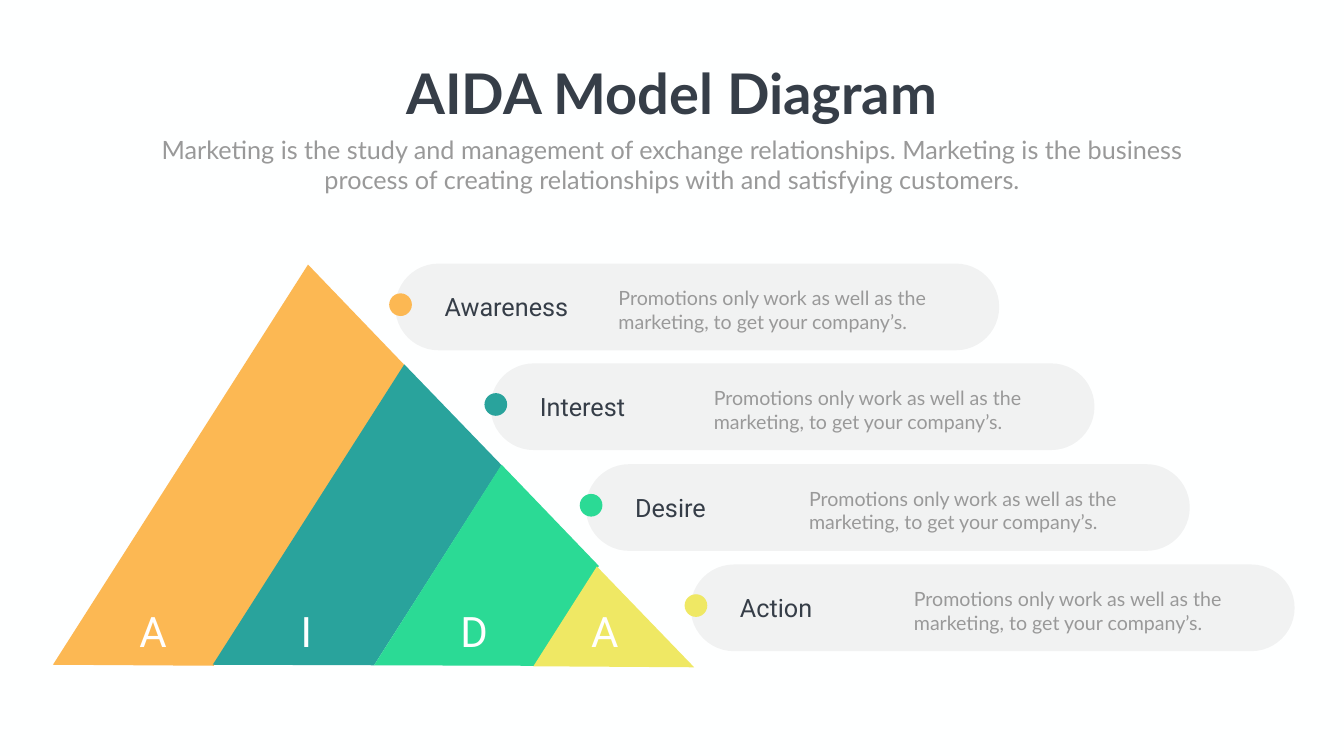
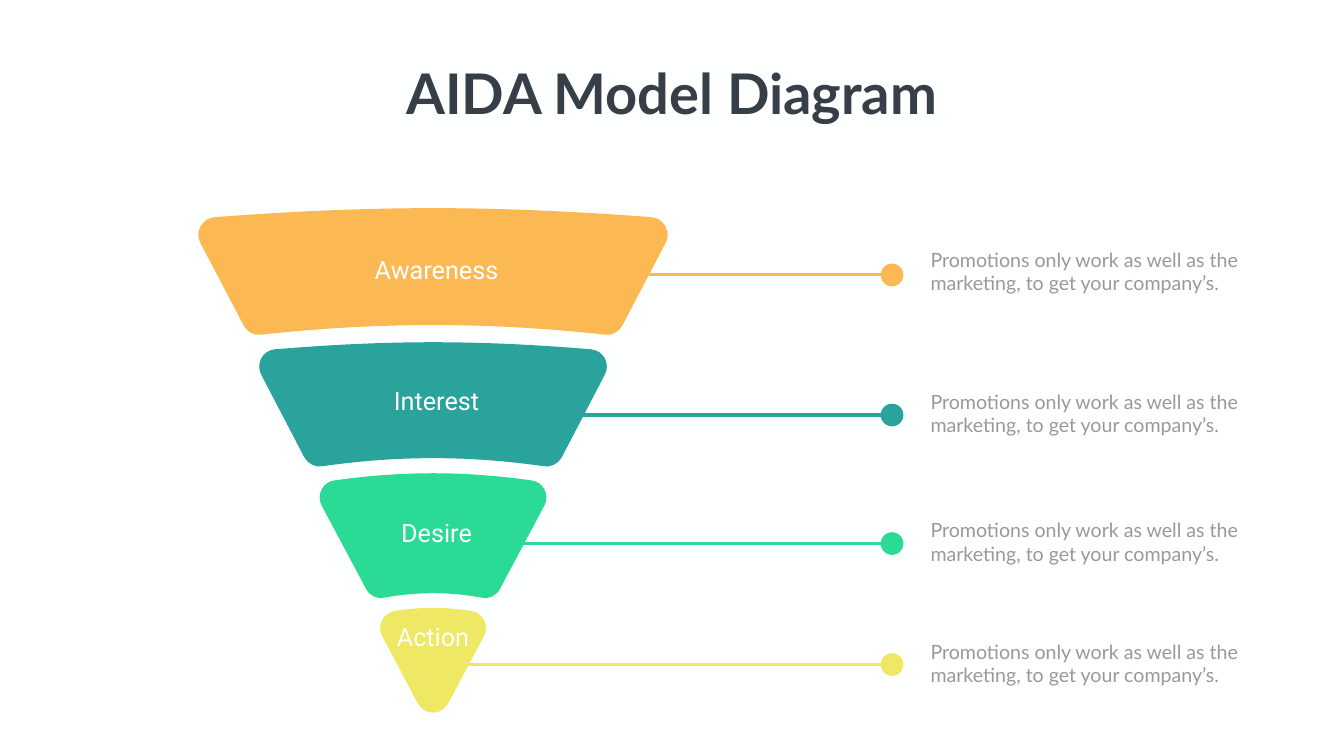
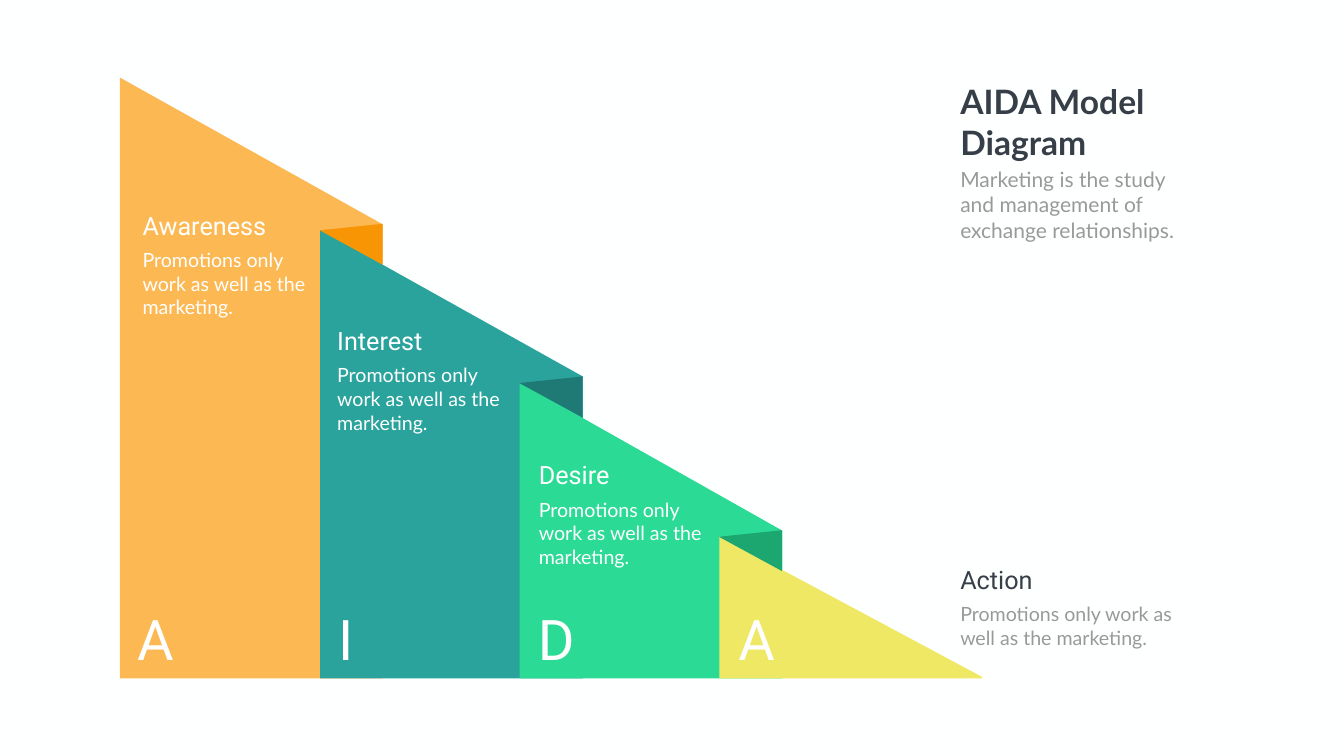
from dataclasses import dataclass

from lxml import etree
from pptx import Presentation
from pptx.dml.color import RGBColor
from pptx.enum.shapes import MSO_CONNECTOR, MSO_SHAPE
from pptx.enum.text import MSO_AUTO_SIZE, PP_ALIGN
from pptx.oxml.ns import qn
from pptx.util import Pt

LEFT, CENTER = PP_ALIGN.LEFT, PP_ALIGN.CENTER
OVAL, PILL = MSO_SHAPE.OVAL, MSO_SHAPE.ROUNDED_RECTANGLE
STRAIGHT = MSO_CONNECTOR.STRAIGHT
FIT_TEXT = MSO_AUTO_SIZE.SHAPE_TO_FIT_TEXT

EMU_PER_PX = 9144  # 100 px to the inch
BLANK_LAYOUT = 6
DOT_SIZE = 45


@dataclass(frozen=True)
class TextStyle:
    font: str
    size: int
    bold: bool = False


@dataclass(frozen=True)
class Theme:
    background: str = "FEFFFF"
    dark: str = "363E48"
    muted: str = "999999"
    white: str = "FFFFFF"
    pill: str = "808080"
    pill_opacity: int = 10
    stages: tuple = ("FCB853", "29A39C", "2BDA95", "EFE864")
    folds: tuple = ("F79504", "1F7A75", "1DA770")
    connector_width: int = 5
    title: TextStyle = TextStyle("Lato", 80, True)
    side_title: TextStyle = TextStyle("Lato", 48, True)
    subtitle: TextStyle = TextStyle("Lato", 36)
    side_subtitle: TextStyle = TextStyle("Lato", 30)
    body: TextStyle = TextStyle("Lato", 28)
    heading: TextStyle = TextStyle("Roboto", 36)
    letter: TextStyle = TextStyle("Roboto", 60)
    large_letter: TextStyle = TextStyle("Roboto", 80)


THEME = Theme()

# Shared wording
TITLE = "AIDA Model Diagram"
STAGES = ("Awareness", "Interest", "Desire", "Action")
PROMOTION = "Promotions only work as well as the marketing, to get your company’s."
SHORT_PROMOTION = "Promotions only work as well as the marketing."
DEFINITION = "Marketing is the study and management of exchange relationships."
PURPOSE = (" Marketing is the business process of creating relationships"
           " with and satisfying customers.")

# Pyramid slide: band outlines and the left and top of each pill
PYRAMID_BANDS = (
    [(611, 525), (105, 1319), (424, 1321), (803, 725)],
    [(802, 723), (422, 1319), (742, 1320), (995, 923)],
    [(995, 922), (742, 1320), (1061, 1321), (1188, 1123)],
    [(1058, 1322), (1377, 1324), (1184, 1124)],
)
PYRAMID_LETTERS = (231, 535, 868, 1127)
PILLS = ((784, 523), (973, 721), (1162, 921), (1370, 1120))

# Funnel slide: right half of each piece as offsets from the axis, top to
# bottom; one point is a straight step, three points are a Bezier curve
FUNNEL_AXIS = 859
FUNNEL_PIECES = (
    [[(0, 413)], [(140, 413), (292, 420), (433, 431)],
     [(458, 433), (473, 460), (462, 481)], [(375, 647)],
     [(368, 659), (355, 666), (341, 664)],
     [(239, 653), (126, 645), (0, 645)]],
    [[(0, 679)], [(113, 679), (215, 685), (313, 693)],
     [(338, 695), (352, 721), (341, 743)], [(255, 908)],
     [(248, 920), (233, 928), (219, 925)],
     [(156, 916), (84, 909), (0, 909)]],
    [[(0, 939)], [(71, 939), (136, 945), (194, 953)],
     [(218, 955), (232, 981), (221, 1003)], [(133, 1168)],
     [(126, 1182), (111, 1189), (97, 1186)],
     [(71, 1181), (36, 1177), (0, 1177)]],
    [[(0, 1206)], [(30, 1206), (53, 1209), (75, 1212)],
     [(99, 1216), (112, 1241), (101, 1262)], [(30, 1396)],
     [(23, 1408), (12, 1414), (0, 1414)]],
)
# Line start, line height, description top
FUNNEL_CALLOUTS = ((1184, 545, 486), (1154, 823, 768),
                   (963, 1078, 1023), (889, 1318, 1264))
FUNNEL_HEADINGS = ((693, 499), (693, 759), (693, 1022), (686, 1228))

# Pillar slide: left, top and height of the right edge's top
PILLARS = ((238, 154, 445), (635, 456, 747), (1031, 759, 1053), (1427, 1064, 1343))
PILLAR_WIDTH, PILLAR_BOTTOM = 521, 1346
PILLAR_LETTERS = (262, 661, 1057, 1455)
PILLAR_TEXTS = ((273, 412), (659, 641), (1059, 907))
SIDE_LEFT = 1895


def px(length):
    return int(length * EMU_PER_PX)


def paint(shape, color):
    shape.shadow.inherit = False
    shape.fill.solid()
    shape.fill.fore_color.rgb = RGBColor.from_string(color)
    shape.line.fill.background()


def add_slide(presentation):
    slide = presentation.slides.add_slide(presentation.slide_layouts[BLANK_LAYOUT])
    slide.background.fill.solid()
    slide.background.fill.fore_color.rgb = RGBColor.from_string(THEME.background)
    return slide


def add_text(slide, text, box, style, color, align=LEFT, wrap=True):
    frame = slide.shapes.add_textbox(*map(px, box)).text_frame
    frame.word_wrap = wrap
    frame.auto_size = FIT_TEXT
    paragraph = frame.paragraphs[0]
    paragraph.alignment = align
    run = paragraph.add_run()
    run.text = text
    run.font.name = style.font
    run.font.size = Pt(style.size)
    run.font.bold = style.bold
    run.font.color.rgb = RGBColor.from_string(color)


def add_title(slide):
    add_text(slide, TITLE, (786, 112, 1094, 145), THEME.title, THEME.dark, CENTER, False)


def add_polygon(slide, points, color):
    builder = slide.shapes.build_freeform(*points[0], scale=EMU_PER_PX)
    builder.add_line_segments(points[1:], close=True)
    shape = builder.convert_to_shape()
    paint(shape, color)
    return shape


def add_curved_outline(slide, steps, color):
    """Freeform whose steps are a start point, then lines and Bezier curves."""
    columns, rows = zip(*(point for step in steps for point in step))
    left, right, top, bottom = min(columns), max(columns), min(rows), max(rows)
    shape = add_polygon(
        slide, [(left, top), (right, top), (right, bottom), (left, bottom)], color)
    outline = next(shape._element.iter(qn("a:path")))
    for child in list(outline):
        outline.remove(child)
    for index, step in enumerate(steps):
        kind = "a:moveTo" if index == 0 else "a:lnTo" if len(step) == 1 else "a:cubicBezTo"
        segment = etree.SubElement(outline, qn(kind))
        for x, y in step:
            etree.SubElement(segment, qn("a:pt"), x=str(x - left), y=str(y - top))
    etree.SubElement(outline, qn("a:close"))


def add_dot(slide, left, top, color):
    paint(slide.shapes.add_shape(OVAL, px(left), px(top), px(DOT_SIZE), px(DOT_SIZE)), color)


def add_pill(slide, left, top):
    shape = slide.shapes.add_shape(PILL, px(left), px(top), px(1198), px(172))
    shape.adjustments[0] = 0.5
    paint(shape, THEME.pill)
    color = next(shape._element.spPr.iter(qn("a:srgbClr")))
    etree.SubElement(color, qn("a:alpha"), val=str(THEME.pill_opacity * 1000))


def add_rule(slide, start, end, height, color):
    connector = slide.shapes.add_connector(
        STRAIGHT, px(start), px(height), px(end), px(height))
    connector.line.color.rgb = RGBColor.from_string(color)
    connector.line.width = Pt(THEME.connector_width)
    etree.SubElement(connector._element.spPr, qn("a:effectLst"))


def funnel_outline(half):
    """Steps down the right half, then back up its mirror image."""
    right = [[(FUNNEL_AXIS + x, y) for x, y in step] for step in half]
    left = []
    for previous, step in zip(half[-2::-1], half[:0:-1]):
        backward = step[-2::-1] if len(step) > 1 else []
        left.append([(FUNNEL_AXIS - x, y) for x, y in backward + previous[-1:]])
    return right + left


def build_pyramid(presentation):
    slide = add_slide(presentation)
    # Pyramid and its letters
    for points, color in zip(PYRAMID_BANDS, THEME.stages):
        add_polygon(slide, points, color)
    for stage, left in zip(STAGES, PYRAMID_LETTERS):
        add_text(slide, stage[0], (left, 1196, 145, 111), THEME.letter, THEME.white, CENTER)
    # Stage pills
    for stage, (left, top), color in zip(STAGES, PILLS, THEME.stages):
        add_pill(slide, left, top)
        add_text(slide, PROMOTION, (left + 433, top + 40, 649, 104), THEME.body, THEME.muted)
        add_text(slide, stage, (left + 88, top + 50, 346, 71), THEME.heading, THEME.dark)
        add_dot(slide, left - 12, top + 59, color)
    # Header
    add_title(slide)
    add_text(slide, DEFINITION + PURPOSE, (292, 261, 2082, 131),
             THEME.subtitle, THEME.muted, CENTER)


def build_funnel(presentation):
    slide = add_slide(presentation)
    # Callouts
    for (start, height, top), color in zip(FUNNEL_CALLOUTS, THEME.stages):
        add_rule(slide, start, 1750, height, color)
        add_dot(slide, 1747, height - 22, color)
        add_text(slide, PROMOTION, (1836, top, 649, 104), THEME.body, THEME.muted)
    # Funnel pieces
    for stage, half, (left, top), color in zip(
            STAGES, FUNNEL_PIECES, FUNNEL_HEADINGS, THEME.stages):
        add_curved_outline(slide, funnel_outline(half), color)
        add_text(slide, stage, (left, top, 346, 71), THEME.heading, THEME.white, CENTER)
    add_title(slide)


def add_stage_note(slide, stage, left, top, size, heading_color, body_color):
    add_text(slide, stage, (left, top, 417, 71), THEME.heading, heading_color)
    add_text(slide, SHORT_PROMOTION, (left, top + 75, *size), THEME.body, body_color)


def build_pillars(presentation):
    slide = add_slide(presentation)
    # Pillars
    for (left, top, right_top), color in zip(PILLARS, THEME.stages):
        right = left + PILLAR_WIDTH
        add_polygon(slide, [(left, top), (right, right_top),
                            (right, PILLAR_BOTTOM), (left, PILLAR_BOTTOM)], color)
    # Folds behind the next pillar's top corner
    for (left, top, _), color in zip(PILLARS[1:], THEME.folds):
        add_polygon(slide, [(left - 1, top + 1), (left + 124, top - 12),
                            (left + 124, top + 69)], color)
    # Letters and notes
    for stage, left in zip(STAGES, PILLAR_LETTERS):
        add_text(slide, stage[0], (left, 1195, 129, 145), THEME.large_letter, THEME.white)
    for stage, (left, top) in zip(STAGES, PILLAR_TEXTS):
        add_stage_note(slide, stage, left, top, (355, 151), THEME.white, THEME.white)
    add_stage_note(slide, STAGES[-1], SIDE_LEFT, 1115, (473, 104), THEME.dark, THEME.muted)
    # Side header
    add_text(slide, TITLE, (SIDE_LEFT, 156, 596, 91), THEME.side_title, THEME.dark)
    add_text(slide, DEFINITION, (SIDE_LEFT, 326, 497, 162), THEME.side_subtitle, THEME.muted)


def main():
    presentation = Presentation()
    presentation.slide_width, presentation.slide_height = px(2666), px(1500)
    build_pyramid(presentation)
    build_funnel(presentation)
    build_pillars(presentation)
    presentation.save("out.pptx")


if __name__ == "__main__":
    main()
